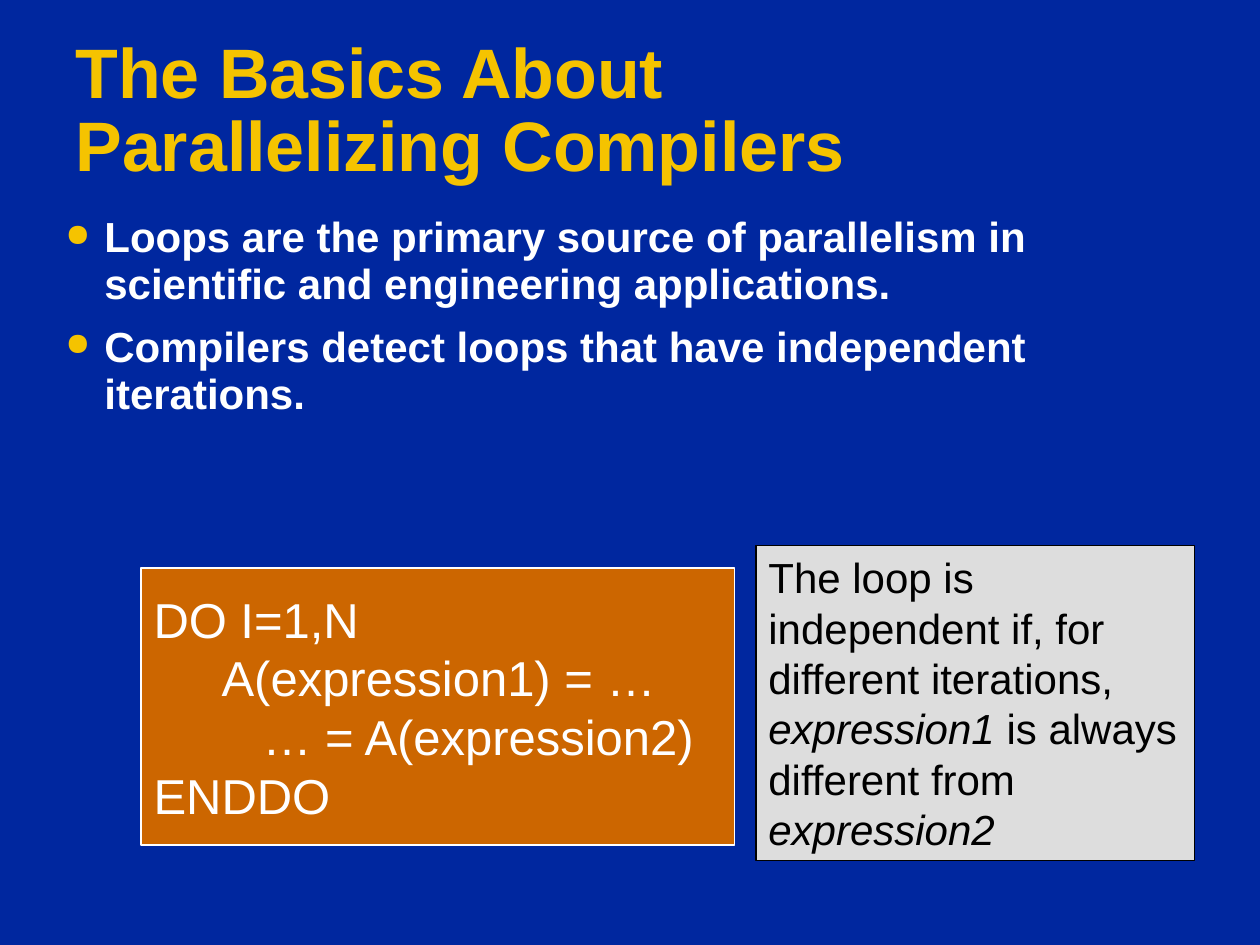
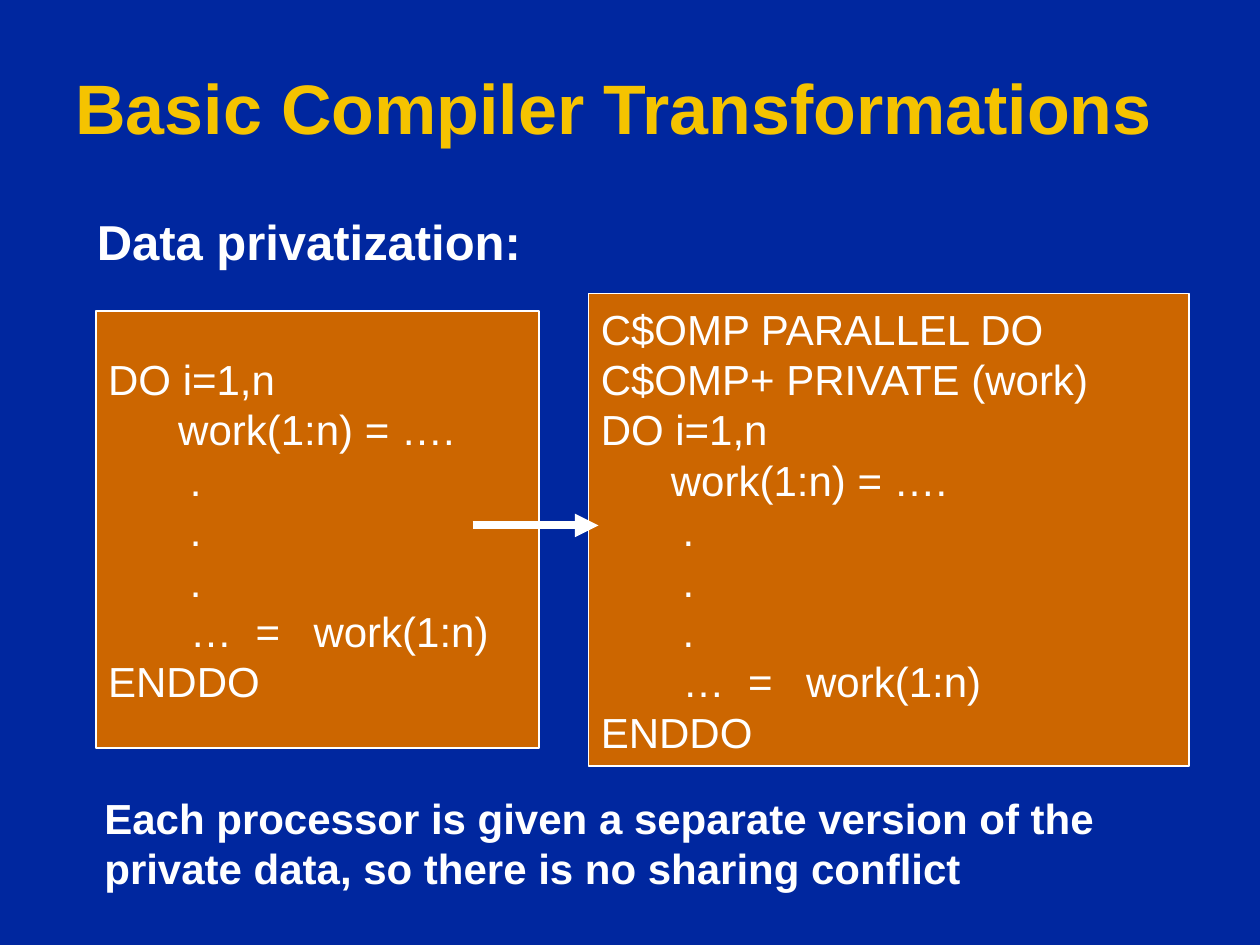
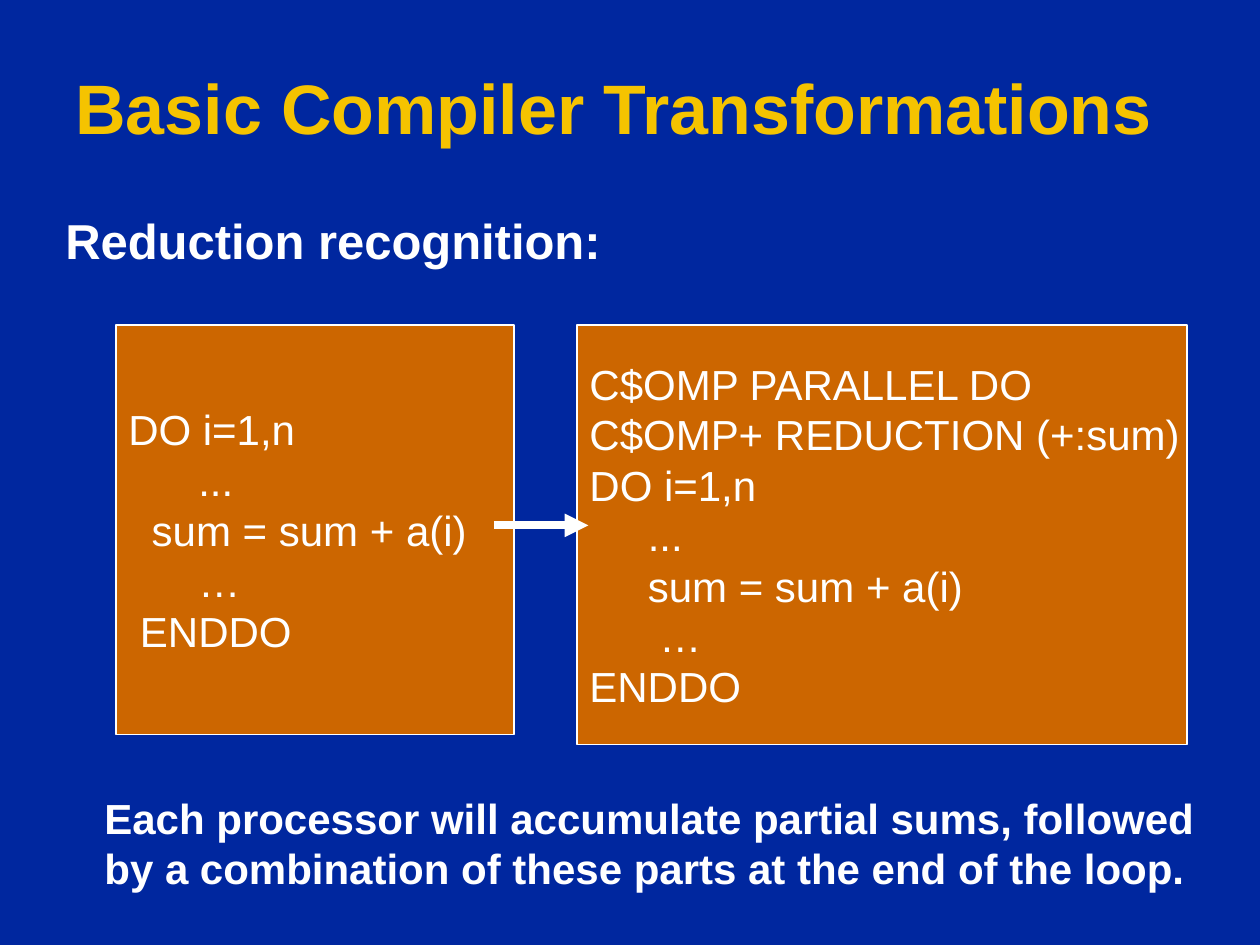
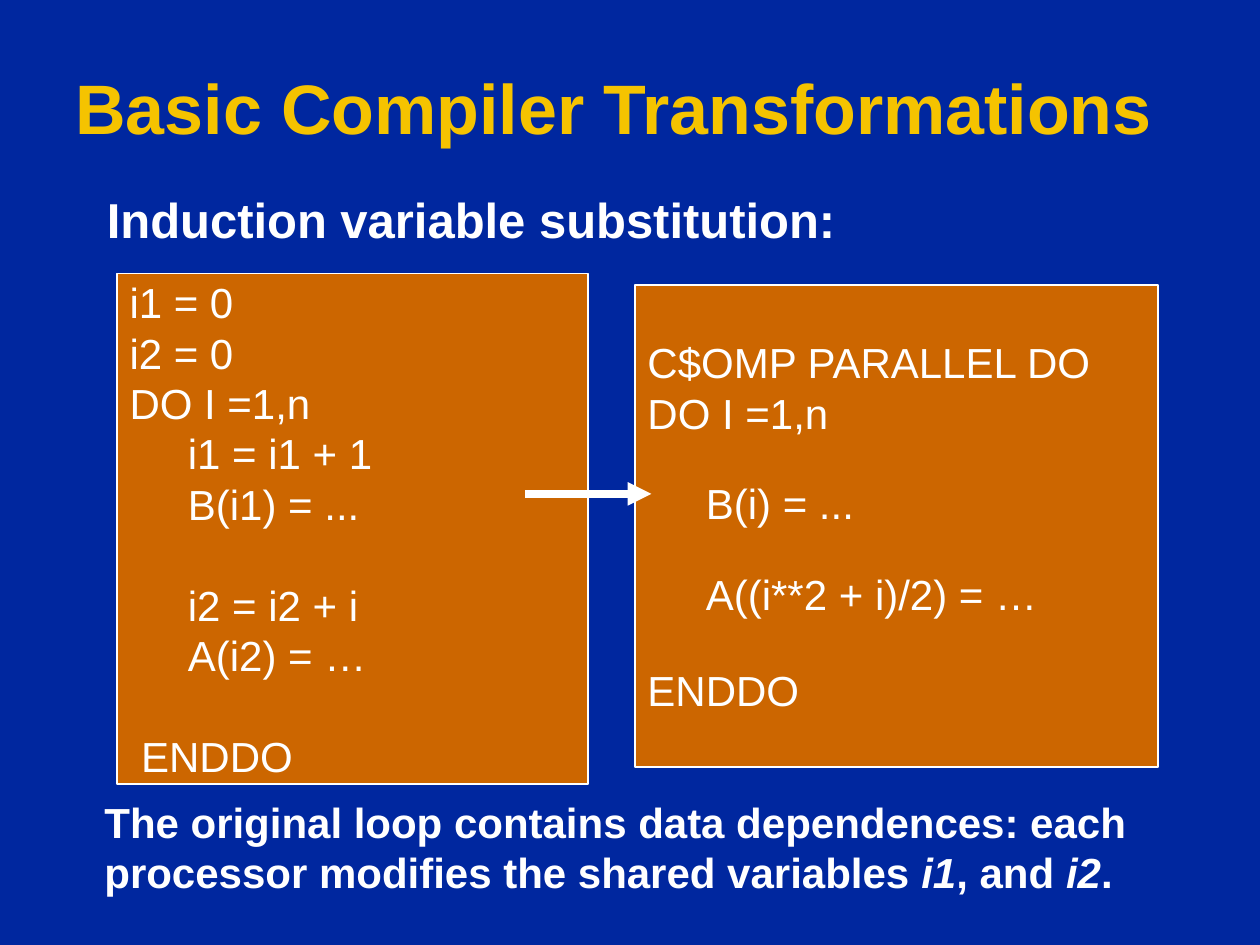
from dataclasses import dataclass

from lxml import etree
from pptx import Presentation
from pptx import util as u
from pptx.dml.color import RGBColor
from pptx.enum import shapes, text
from pptx.oxml import ns

NAVY = RGBColor(0x00, 0x27, 0x9F)
GOLD = RGBColor(0xF5, 0xC3, 0x00)
ORANGE = RGBColor(0xCC, 0x66, 0x00)
GREY = RGBColor(0xDD, 0xDD, 0xDD)
WHITE = RGBColor(0xFF, 0xFF, 0xFF)
BLACK = RGBColor(0x00, 0x00, 0x00)

FONT = "Arial"
SPACE_EM = 0.278
WORK_TABS = (0.65, 1.17, 1.63)
TRANSFORMATIONS = "Basic Compiler Transformations"


@dataclass
class CodeLine:
    """A line of code, its indent in columns and its vertical spacing."""
    words: str
    columns: int = 0
    before: float = 0
    spacing: float = 1


DO_LINE = CodeLine("DO i=1,n")
PARALLEL_LINE = CodeLine("C$OMP PARALLEL DO")
END_LINE = CodeLine("ENDDO")
WORK_LOOP = [
    DO_LINE,
    CodeLine("work(1:n) = ….", 6),
    *[CodeLine(".", 7)] * 3,
    CodeLine("\t…\t=\twork(1:n)"),
    END_LINE,
]


def add_child(parent, tag, **attributes):
    """Append a drawing element to a parent and return it."""
    return etree.SubElement(parent, ns.qn(tag), attributes)


def set_font(para, size, color, bold=False):
    """Set the font that all runs of a paragraph share."""
    para.font.name = FONT
    para.font.size = u.Pt(size)
    para.font.color.rgb = color
    para.font.bold = bold


def add_spans(para, words):
    """Add runs to a paragraph, with the parts between asterisks in italics."""
    for number, part in enumerate(words.split("*")):
        if part:
            span = para.add_run()
            span.text = part
            if number % 2:
                span.font.italic = True


def set_bullet(para):
    """Give a paragraph a gold round bullet and a hanging indent."""
    props = para._p.get_or_add_pPr()
    hang = u.Inches(0.31)
    props.set("marL", str(hang))
    props.set("indent", str(-hang))
    color = add_child(props, "a:buClr")
    add_child(color, "a:srgbClr", val=str(GOLD))
    add_child(props, "a:buSzPct", val="75000")
    add_child(props, "a:buChar", char="●")


def set_tabs(para, stops):
    """Give a paragraph left tab stops, in inches."""
    tabs = add_child(para._p.get_or_add_pPr(), "a:tabLst")
    for stop in stops:
        add_child(tabs, "a:tab", pos=str(u.Inches(stop)), algn="l")


def add_text_frame(page, left, top, width, height):
    """Add a wrapping text box and return its frame."""
    box = page.shapes.add_textbox(*map(u.Inches, (left, top, width, height)))
    box.text_frame.word_wrap = True
    return box.text_frame


def add_page(deck, title):
    """Add a navy page with a gold title."""
    page = deck.slides.add_slide(deck.slide_layouts[6])
    page.background.fill.solid()
    page.background.fill.fore_color.rgb = NAVY
    frame = add_text_frame(page, 0.5, 0.27, 9.29, 1.25)
    frame.vertical_anchor = text.MSO_ANCHOR.MIDDLE
    para = frame.paragraphs[0]
    para.text = title
    para.line_spacing = 0.87
    set_font(para, 40, GOLD, bold=True)
    return page


def add_bullets(page, items):
    """Add the list of main points below the title."""
    frame = add_text_frame(page, 0.42, 1.66, 9.31, 2.2)
    for number, item in enumerate(items):
        para = frame.add_paragraph() if number else frame.paragraphs[0]
        para.text = item
        set_bullet(para)
        para.line_spacing = 0.93
        para.space_before = u.Pt(9)
        set_font(para, 24, WHITE, bold=True)


def add_heading(page, left, top, words):
    """Add the name of a transformation."""
    para = add_text_frame(page, left, top, 8.5, 0.7).paragraphs[0]
    para.text = words
    para.line_spacing = 0.93
    para.space_before = u.Pt(10.5)
    set_font(para, 28, WHITE, bold=True)


def add_note(page, words, top=6.24):
    """Add the closing remark at the foot of a page."""
    para = add_text_frame(page, 0.73, top, 8.85, 0.9).paragraphs[0]
    add_spans(para, words)
    set_font(para, 24, WHITE, bold=True)


def add_panel(page, place, fill, line):
    """Add an outlined rectangle and return its text frame."""
    box = page.shapes.add_shape(
        shapes.MSO_SHAPE.RECTANGLE, *map(u.Inches, place))
    box.shadow.inherit = False
    box.fill.solid()
    box.fill.fore_color.rgb = fill
    box.line.color.rgb = line
    box.line.width = u.Pt(1)
    return box.text_frame


def add_code(page, place, lines, size=24):
    """Add an orange panel with lines of code."""
    frame = add_panel(page, place, ORANGE, WHITE)
    frame.word_wrap = False
    frame.vertical_anchor = text.MSO_ANCHOR.MIDDLE
    for number, line in enumerate(lines):
        para = frame.add_paragraph() if number else frame.paragraphs[0]
        para.text = line.words
        para.alignment = text.PP_ALIGN.LEFT
        if line.columns:
            indent = u.Pt(line.columns * size * SPACE_EM)
            para._p.get_or_add_pPr().set("marL", str(indent))
        if "\t" in line.words:
            set_tabs(para, WORK_TABS)
        if line.before:
            para.space_before = u.Pt(line.before)
        if line.spacing != 1:
            para.line_spacing = line.spacing
        set_font(para, size, WHITE)


def add_remark(page, place, words):
    """Add a grey panel with an explanation."""
    frame = add_panel(page, place, GREY, BLACK)
    frame.word_wrap = True
    frame.vertical_anchor = text.MSO_ANCHOR.TOP
    para = frame.paragraphs[0]
    para.alignment = text.PP_ALIGN.LEFT
    add_spans(para, words)
    set_font(para, 24, BLACK)


def add_arrow(page, start, end, height):
    """Add a thick white arrow from left to right."""
    arrow = page.shapes.add_connector(
        shapes.MSO_CONNECTOR.STRAIGHT,
        *map(u.Inches, (start, height, end, height)))
    arrow.line.color.rgb = WHITE
    arrow.line.width = u.Pt(4.5)
    add_child(arrow.line._get_or_add_ln(), "a:tailEnd", type="triangle")
    add_child(arrow._element.spPr, "a:effectLst")


def add_basics(deck):
    """Add the page on loops and independence."""
    page = add_page(deck, "The Basics About\vParallelizing Compilers")
    add_bullets(page, [
        "Loops are the primary source of parallelism in scientific and "
        "engineering applications.",
        "Compilers detect loops that have independent iterations.",
    ])
    add_code(page, (1.12, 4.51, 4.71, 2.2), [
        CodeLine("DO I=1,N"),
        CodeLine("A(expression1) = …", 5),
        CodeLine("… = A(expression2)", 8),
        END_LINE,
    ], size=28)
    add_remark(page, (6, 4.33, 3.48, 2.5),
               "The loop is independent if, for different iterations, "
               "*expression1 *is always different from *expression2*")


def add_privatization(deck):
    """Add the page on data privatization."""
    page = add_page(deck, TRANSFORMATIONS)
    add_heading(page, 0.67, 1.67, "Data privatization:")
    add_code(page, (0.76, 2.47, 3.52, 3.47), WORK_LOOP)
    add_code(page, (4.67, 2.33, 4.77, 3.75), [
        PARALLEL_LINE, CodeLine("C$OMP+ PRIVATE (work)"), *WORK_LOOP])
    add_arrow(page, 3.75, 4.75, 4.17)
    add_note(page, "Each processor is given a separate version of the "
                   "private data, so there is no sharing conflict")


def add_reduction(deck):
    """Add the page on reduction recognition."""
    page = add_page(deck, TRANSFORMATIONS)
    add_heading(page, 0.42, 1.66, "Reduction recognition:")
    add_code(page, (0.92, 2.58, 3.16, 3.25), [
        DO_LINE,
        CodeLine("...", 6),
        CodeLine("sum = sum + a(i)", 2),
        CodeLine("…", 6),
        CodeLine("ENDDO", 1),
    ])
    add_code(page, (4.58, 2.58, 4.84, 3.33), [
        PARALLEL_LINE,
        CodeLine("C$OMP+ REDUCTION (+:sum)"),
        DO_LINE,
        CodeLine("...", 5),
        CodeLine("sum = sum + a(i)", 5),
        CodeLine("…", 6),
        END_LINE,
    ])
    add_arrow(page, 3.92, 4.67, 4.17)
    add_note(page, "Each processor will accumulate partial sums, followed by "
                   "a combination of these parts at the end of the loop.")


def add_induction(deck):
    """Add the page on induction variable substitution."""
    page = add_page(deck, TRANSFORMATIONS)
    add_heading(page, 0.75, 1.5, "Induction variable substitution:")
    add_code(page, (0.93, 2.17, 3.74, 4.05), [
        CodeLine("i1 = 0"),
        CodeLine("i2 = 0"),
        CodeLine("DO I =1,n"),
        CodeLine("i1 = i1 + 1", 5),
        CodeLine("B(i1) = ...", 5),
        CodeLine("i2 = i2 + i", 5, before=28.8),
        CodeLine("A(i2) = …", 5),
        CodeLine("ENDDO", 1, before=28.8),
    ])
    add_code(page, (5.04, 2.26, 4.15, 3.83), [
        PARALLEL_LINE,
        CodeLine("DO I =1,n"),
        CodeLine("B(i) = ...", 5, before=26, spacing=0.9),
        CodeLine("A((i**2 + i)/2) = …", 5, before=26, spacing=0.9),
        CodeLine("ENDDO", before=26),
    ])
    add_arrow(page, 4.17, 5.17, 3.92)
    add_note(page, "The original loop contains data dependences: each "
                   "processor modifies the shared variables *i1*, and *i2*.",
             top=6.27)


def main():
    """Build the deck and save it."""
    deck = Presentation()
    deck.slide_width = u.Inches(10)
    deck.slide_height = u.Inches(7.5)
    add_basics(deck)
    add_privatization(deck)
    add_reduction(deck)
    add_induction(deck)
    deck.save("out.pptx")


if __name__ == "__main__":
    main()
